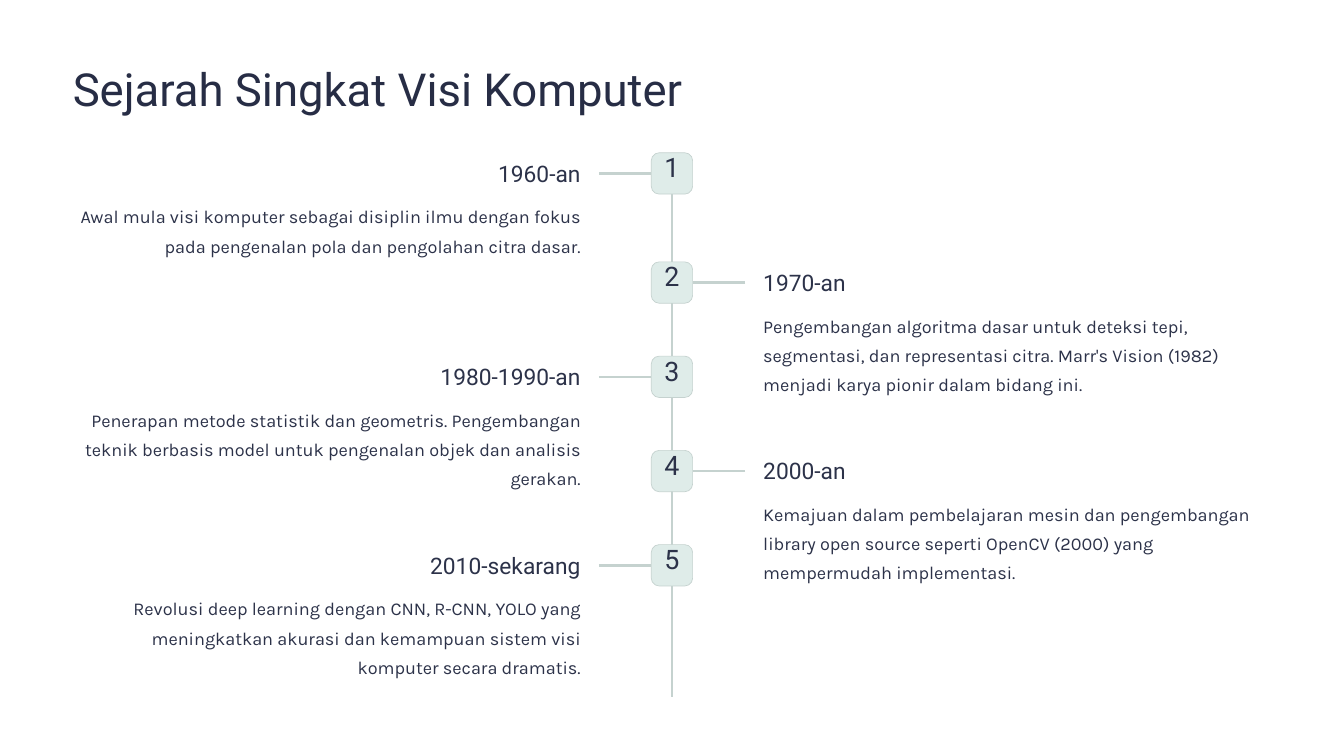
"""Build a slide with an alternating vertical timeline of computer vision history."""
from pptx import Presentation
from pptx.dml.color import RGBColor
from pptx.enum.shapes import MSO_CONNECTOR as Connector, MSO_SHAPE as Shape
from pptx.enum.text import MSO_ANCHOR as Anchor, MSO_AUTO_SIZE as AutoSize, PP_ALIGN as Align
from pptx.oxml.ns import qn
from pptx.util import Cm, Pt
from lxml.etree import SubElement

TITLE = "Sejarah Singkat Visi Komputer"
ERAS = [
    ("1960-an", "Awal mula visi komputer sebagai disiplin ilmu dengan fokus pada pengenalan pola dan pengolahan citra dasar."),
    ("1970-an", "Pengembangan algoritma dasar untuk deteksi tepi, segmentasi, dan representasi citra. Marr's Vision (1982) menjadi karya pionir dalam bidang ini."),
    ("1980-1990-an", "Penerapan metode statistik dan geometris. Pengembangan teknik berbasis model untuk pengenalan objek dan analisis gerakan."),
    ("2000-an", "Kemajuan dalam pembelajaran mesin dan pengembangan library open source seperti OpenCV (2000) yang mempermudah implementasi."),
    ("2010-sekarang", "Revolusi deep learning dengan CNN, R-CNN, YOLO yang meningkatkan akurasi dan kemampuan sistem visi komputer secara dramatis."),
]

WHITE = RGBColor(0xFF, 0xFF, 0xFF)
NAVY = RGBColor(0x27, 0x2D, 0x45)
INK = RGBColor(0x2C, 0x32, 0x49)
MINT = RGBColor(0xDF, 0xEC, 0xE9)
SAGE = RGBColor(0xC5, 0xD2, 0xCF)

TITLE_STYLE = (48.5, {"name": "Roboto", "size": Pt(39)}, NAVY)
NUMBER_STYLE = (23, {"name": "Roboto", "size": Pt(23)}, INK)
ERA_STYLE = (24, {"name": "Roboto", "size": Pt(19.5)}, INK)
BODY_STYLE = (25, {"name": "Karla", "size": Pt(15.5)}, INK)

WIDTH, HEIGHT = 40.64, 22.86
AXIS = WIDTH / 2
FIRST_TOP, SECOND_TOP, STEP = 4.62, 7.92, 2.85
AXIS_BOTTOM = 21.08
BADGE = 1.25
BRANCH_REACH, TEXT_REACH = 2.21, 2.76
ERA_WIDTH, BODY_WIDTH = 6.88, 15.36


def write(shape, text, style, align, top_margin=0):
    """Put one formatted paragraph into a shape."""
    spacing, font_values, color = style
    frame = shape.text_frame
    frame_values = {
        "margin_left": 0, "margin_right": 0, "margin_top": Cm(top_margin), "margin_bottom": 0,
        "word_wrap": True, "auto_size": AutoSize.NONE, "vertical_anchor": Anchor.TOP,
    }
    for key, value in frame_values.items():
        setattr(frame, key, value)
    para = frame.paragraphs[0]
    para.alignment, para.line_spacing = align, Pt(spacing)
    span = para.add_run()
    span.text = text
    for key, value in font_values.items():
        setattr(span.font, key, value)
    span.font.color.rgb = color


def add_line(page, x1, y1, x2, y2):
    """Draw a straight timeline line."""
    line = page.shapes.add_connector(Connector.STRAIGHT, Cm(x1), Cm(y1), Cm(x2), Cm(y2))
    line.line.color.rgb, line.line.width = SAGE, Pt(2)
    SubElement(line.element.spPr, qn("a:effectLst"))
    return line


def add_badge(page, number, top):
    """Draw a numbered square centred on the axis."""
    badge = page.shapes.add_shape(
        Shape.ROUNDED_RECTANGLE, Cm(AXIS - BADGE / 2), Cm(top), Cm(BADGE), Cm(BADGE))
    badge.adjustments[0] = 0.19
    badge.shadow.inherit = False
    badge.fill.solid()
    badge.fill.fore_color.rgb = MINT
    badge.line.color.rgb, badge.line.width = SAGE, Pt(0.6)
    write(badge, str(number), NUMBER_STYLE, Align.CENTER, top_margin=0.04)
    return badge


def add_era(page, number, era, body):
    """Draw one timeline stop, on the left for odd numbers."""
    top = FIRST_TOP if number == 1 else SECOND_TOP + (number - 2) * STEP
    on_left = number % 2 == 1
    side, align, site = (-1, Align.RIGHT, 1) if on_left else (1, Align.LEFT, 3)
    badge = add_badge(page, number, top)
    middle = top + BADGE / 2
    branch = add_line(page, AXIS + side * BRANCH_REACH, middle, AXIS + side * BADGE / 2, middle)
    branch.end_connect(badge, site)
    edge = AXIS + side * TEXT_REACH
    for text, style, offset, width, height in (
        (era, ERA_STYLE, 0.18, ERA_WIDTH, 0.86),
        (body, BODY_STYLE, 1.38, BODY_WIDTH, 2.64),
    ):
        left = edge - width if on_left else edge
        box = page.shapes.add_textbox(Cm(left), Cm(top + offset), Cm(width), Cm(height))
        write(box, text, style, align)
    return badge


def main():
    """Assemble and save the deck."""
    deck = Presentation()
    deck.slide_width, deck.slide_height = Cm(WIDTH), Cm(HEIGHT)
    page = deck.slides.add_slide(deck.slide_layouts[5])
    page.background.fill.solid()
    page.background.fill.fore_color.rgb = WHITE

    title = page.shapes.title
    title_place = {"left": 2.2, "top": 1.78, "width": 22, "height": 1.73}
    for key, value in title_place.items():
        setattr(title, key, Cm(value))
    write(title, TITLE, TITLE_STYLE, Align.LEFT)

    axis = add_line(page, AXIS, FIRST_TOP, AXIS, AXIS_BOTTOM)
    badges = [add_era(page, number, *era) for number, era in enumerate(ERAS, 1)]
    axis.begin_connect(badges[0], 0)
    deck.save("out.pptx")


if __name__ == "__main__":
    main()
